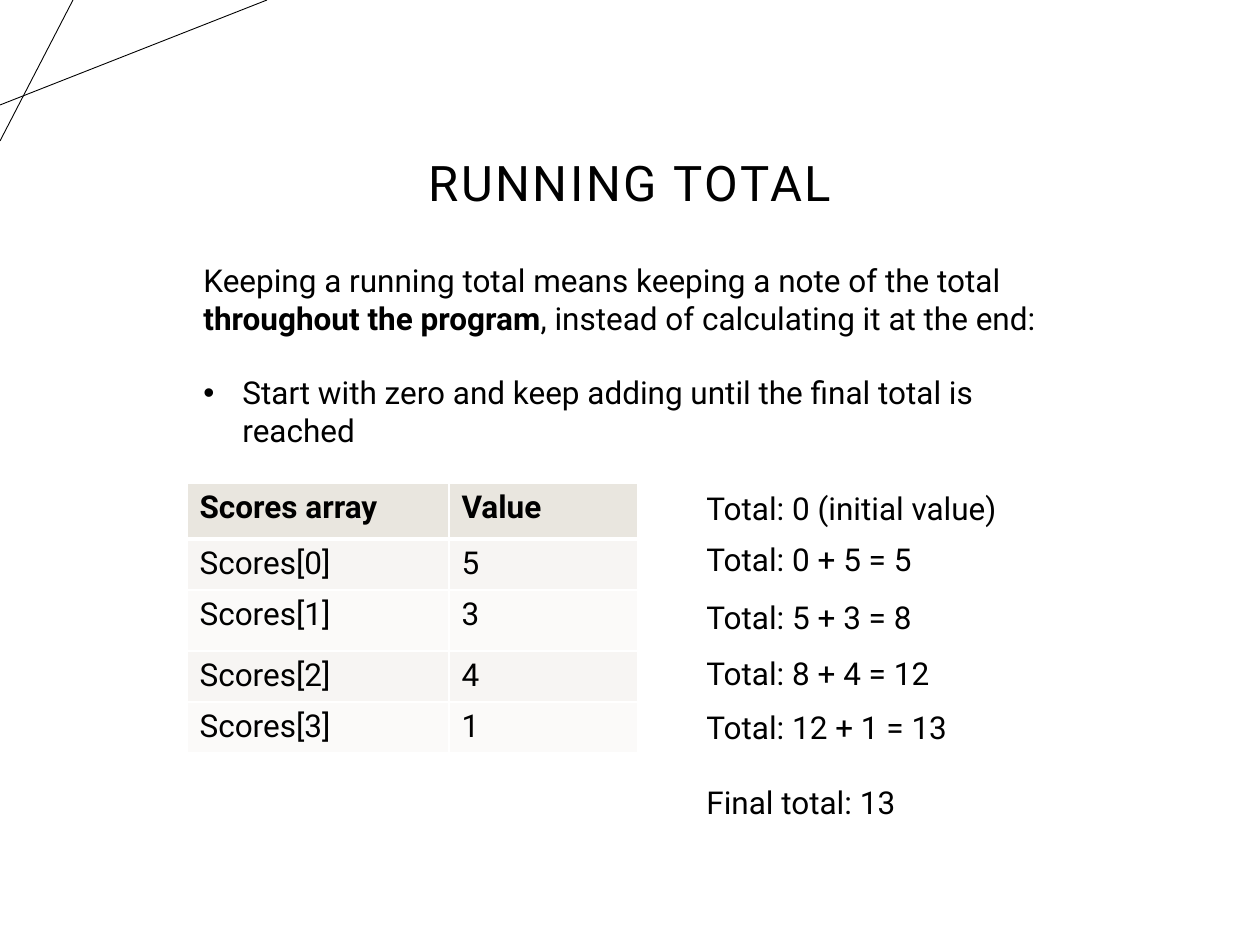
"""Build the slide that explains a running total with a worked scores table."""
from lxml import etree
from pptx import Presentation
from pptx.dml.color import RGBColor
from pptx.enum.shapes import MSO_CONNECTOR as Connector
from pptx.enum.text import MSO_ANCHOR as Anchor, MSO_AUTO_SIZE as AutoSize, PP_ALIGN as Align
from pptx.oxml.ns import qn
from pptx.util import Emu, Pt

EMU_PER_PX = 914400 / 126
FONT = "Roboto"
BODY_SIZE = 18
BLANK_LINE = 21
TEXT_INDENT = 4

BLACK = RGBColor(0x00, 0x00, 0x00)
WHITE = RGBColor(0xFF, 0xFF, 0xFF)
HEADER_FILL = RGBColor(0xE9, 0xE6, 0xDF)
ODD_FILL = RGBColor(0xF7, 0xF5, 0xF3)
EVEN_FILL = RGBColor(0xFB, 0xFA, 0xF9)

CORNER_LINES = [(0, 105, 267, 0), (73, 0, 0, 141)]
INTRO = [
    ("Keeping a running total means keeping a note of the total ", False),
    ("throughout the program", True),
    (", instead of calculating it at the end:", False),
]
STEP = "Start with zero and keep adding until the final total is reached"
SCORES = [
    ("Scores array", "Value"),
    ("Scores[0]", "5"),
    ("Scores[1]", "3"),
    ("Scores[2]", "4"),
    ("Scores[3]", "1"),
]
COLUMN_WIDTHS = [262, 189]
ROW_HEIGHTS = [56, 51, 61, 51, 51]
TOTALS = [
    (483, 50, ["Total: 0 (initial value)"]),
    (534, 50, ["Total: 0 + 5 = 5"]),
    (592, 50, ["Total: 5 + 3 = 8"]),
    (648, 50, ["Total: 8 + 4 = 12"]),
    (702, 127, ["Total: 12 + 1 = 13", "Final total: 13"]),
]


def px(length):
    return Emu(round(length * EMU_PER_PX))


def style_run(run, size=BODY_SIZE, bold=False):
    run.font.name = FONT
    run.font.size = Pt(size)
    run.font.bold = bold
    run.font.color.rgb = BLACK


def indent(paragraph, left, first=0):
    properties = paragraph._p.get_or_add_pPr()
    properties.set("marL", str(px(left)))
    properties.set("indent", str(px(first)))


def add_corner_line(slide, x1, y1, x2, y2):
    line = slide.shapes.add_connector(Connector.STRAIGHT, px(x1), px(y1), px(x2), px(y2))
    line.line.color.rgb = BLACK
    line.line.width = Pt(0.5)
    etree.SubElement(line._element.spPr, qn("a:effectLst"))


def set_title(slide, wording):
    title = slide.shapes.title
    title.left, title.top, title.width, title.height = px(87), px(94), px(1086), px(183)
    frame = title.text_frame
    frame.text = wording
    frame.auto_size = AutoSize.NONE
    frame.vertical_anchor = Anchor.MIDDLE
    heading = frame.paragraphs[0]
    heading.alignment = Align.CENTER
    heading.line_spacing = 0.9
    style_run(heading.runs[0], size=28)
    heading.runs[0].font._element.set("spc", "150")


def add_text(slide, left, top, width, height, paragraphs):
    box = slide.shapes.add_textbox(px(left), px(top), px(width), px(height))
    frame = box.text_frame
    frame.word_wrap = True
    for index, pieces in enumerate(paragraphs):
        paragraph = frame.add_paragraph() if index else frame.paragraphs[0]
        indent(paragraph, TEXT_INDENT)
        if index:
            paragraph.space_before = Pt(BLANK_LINE)
        for wording, bold in pieces:
            run = paragraph.add_run()
            run.text = wording
            style_run(run, bold=bold)
    return frame


def add_bullet(paragraph):
    indent(paragraph, 43, -39)
    properties = paragraph._p.get_or_add_pPr()
    etree.SubElement(properties, qn("a:buFont")).set("typeface", "Arial")
    etree.SubElement(properties, qn("a:buChar")).set("char", "•")


def set_borders(cell, top, bottom):
    properties = cell._tc.get_or_add_tcPr()
    for side, width in (("L", 1), ("R", 1), ("T", top), ("B", bottom)):
        border = etree.SubElement(properties, qn(f"a:ln{side}"), w=str(Pt(width)))
        fill = etree.SubElement(border, qn("a:solidFill"))
        etree.SubElement(fill, qn("a:srgbClr")).set("val", str(WHITE))


def add_scores_table(slide):
    table = slide.shapes.add_table(
        len(SCORES), len(COLUMN_WIDTHS), px(187), px(483),
        px(sum(COLUMN_WIDTHS)), px(sum(ROW_HEIGHTS)),
    ).table
    for column, width in zip(table.columns, COLUMN_WIDTHS):
        column.width = px(width)
    for row, height in zip(table.rows, ROW_HEIGHTS):
        row.height = px(height)
    for r, values in enumerate(SCORES):
        row_fill = HEADER_FILL if r == 0 else ODD_FILL if r % 2 else EVEN_FILL
        for c, value in enumerate(values):
            cell = table.cell(r, c)
            cell.text = value
            style_run(cell.text_frame.paragraphs[0].runs[0], bold=r == 0)
            set_borders(cell, top=3 if r == 1 else 1, bottom=3 if r == 0 else 1)
            cell.fill.solid()
            cell.fill.fore_color.rgb = row_fill


def main():
    deck = Presentation()
    deck.slide_width, deck.slide_height = px(1260), px(945)
    slide = deck.slides.add_slide(deck.slide_layouts[5])
    for ends in CORNER_LINES:
        add_corner_line(slide, *ends)
    set_title(slide, "RUNNING TOTAL")
    explanation = add_text(slide, 187, 255, 901, 204, [INTRO, [(STEP, False)]])
    add_bullet(explanation.paragraphs[1])
    add_scores_table(slide)
    for top, height, sums in TOTALS:
        add_text(slide, 690, top, 391, height, [[(wording, False)] for wording in sums])
    deck.save("out.pptx")


if __name__ == "__main__":
    main()
